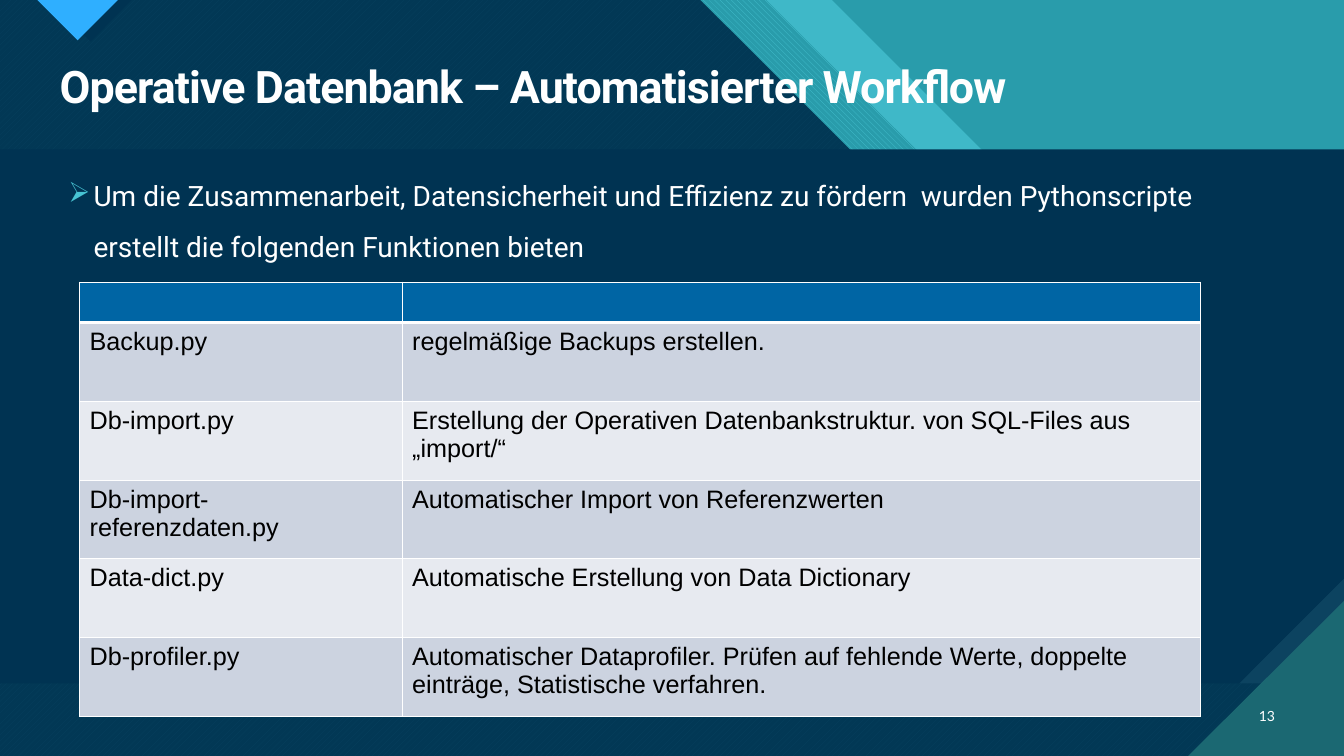
from dataclasses import dataclass

from lxml.etree import SubElement
from pptx import Presentation
from pptx.dml.color import RGBColor
from pptx.enum.dml import MSO_PATTERN
from pptx.enum.text import MSO_ANCHOR, PP_ALIGN
from pptx.oxml import parse_xml
from pptx.oxml.ns import nsdecls, qn
from pptx.slide import Slide
from pptx.text.text import _Paragraph as Para
from pptx.util import Emu, Inches, Pt

WIDE, HIGH = Inches(13.333), Inches(7.5)

WHITE = RGBColor(0xFF, 0xFF, 0xFF)
BLACK = RGBColor(0x00, 0x00, 0x00)
NAVY = RGBColor(0x00, 0x33, 0x52)
SLATE = RGBColor(0x0C, 0x43, 0x60)
PINE = RGBColor(0x1B, 0x68, 0x72)
TEAL = RGBColor(0x29, 0x9C, 0xAB)
AQUA = RGBColor(0x47, 0xC3, 0xD3)
SKY = RGBColor(0x2F, 0xAF, 0xFF)
BLUE = RGBColor(0x00, 0x65, 0xA4)
BANDS = (RGBColor(0xCC, 0xD3, 0xE0), RGBColor(0xE7, 0xEA, 0xF0))


@dataclass
class Area:
    points: list[tuple[float, float]]
    color: RGBColor
    alpha: int = 100
    pattern: MSO_PATTERN | None = None
    back: RGBColor | None = None


@dataclass
class Label:
    text: str
    box: tuple[float, float, float, float]
    font: str
    size: int
    bold: bool = False
    align: PP_ALIGN = PP_ALIGN.LEFT
    anchor: MSO_ANCHOR = MSO_ANCHOR.TOP
    spacing: float = 1.0


DARK = [(0, 0), (52.1, 0), (74.4, 39.6), (83.85, 39.6), (100, 68.3), (100, 100), (0, 100)]
STRIPE = [(0, 0), (57, 0), (79.35, 39.6), (88.8, 39.6), (100, 59.6), (100, 100), (0, 100)]
LIGHT = [(0, 0), (61.9, 0), (84.15, 39.6), (92.55, 39.6), (100, 52.8), (100, 100), (0, 100)]

AREAS = [
    Area(LIGHT, AQUA, alpha=74),
    Area(STRIPE, AQUA, pattern=MSO_PATTERN.WIDE_DOWNWARD_DIAGONAL, back=TEAL),
    Area(DARK, AQUA, pattern=MSO_PATTERN.WIDE_UPWARD_DIAGONAL, back=PINE),
    Area(DARK, NAVY, alpha=90),
    Area([(3.6, 0), (9.8, 0), (6.75, 5.5)], NAVY),
    Area([(2.78, 0), (8.78, 0), (5.78, 5.33)], SKY),
    Area([(92.2, 90.4), (100, 76.5), (100, 90.4)], SLATE),
    Area([(0, 19.75), (100, 19.75), (100, 76.5), (92.2, 90.4), (0, 90.4)], NAVY),
    Area([(88.4, 100), (100, 100), (100, 79.5)], PINE),
]

TITLE = Label(
    "Operative Datenbank – Automatisierter Workflow",
    (3.7, 7.87, 92, 7.87), "Roboto", 32, bold=True, spacing=0.9,
)
INTRO = Label(
    "Um die Zusammenarbeit, Datensicherheit und Effizienz zu fördern  wurden "
    "Pythonscripte erstellt die folgenden Funktionen bieten",
    (4.35, 20.8, 91.3, 76.6), "Roboto", 20, spacing=1.5,
)
NUMBER = Label(
    "13", (92.3, 92.1, 3.3, 5.3), "Lato", 10,
    align=PP_ALIGN.RIGHT, anchor=MSO_ANCHOR.MIDDLE,
)

ROWS = [
    ("", ""),
    ("Backup.py", "regelmäßige Backups erstellen."),
    ("Db-import.py", "Erstellung der Operativen Datenbankstruktur. von SQL-Files aus „import/“"),
    ("Db-import-referenzdaten.py", "Automatischer Import von Referenzwerten"),
    ("Data-dict.py", "Automatische Erstellung von Data Dictionary"),
    ("Db-profiler.py", "Automatischer Dataprofiler. Prüfen auf fehlende Werte, "
     "doppelte einträge, Statistische verfahren."),
]
SPOT = (5.92, 37.33)
COLS = (24, 59.4)
HEAD, BODY = 5.1, 10.42


def across(share: float) -> Emu:
    return Emu(round(WIDE * share / 100))


def down(share: float) -> Emu:
    return Emu(round(HIGH * share / 100))


def draw(slide: Slide, area: Area) -> None:
    first, *rest = [(across(x), down(y)) for x, y in area.points]
    pen = slide.shapes.build_freeform(*first)
    pen.add_line_segments(rest)
    shape = pen.convert_to_shape()
    shape.shadow.inherit = False
    shape.line.fill.background()
    fill = shape.fill
    if area.pattern is None:
        fill.solid()
    else:
        fill.patterned()
        fill.pattern = area.pattern
        fill.back_color.rgb = area.back
    fill.fore_color.rgb = area.color
    if area.alpha < 100:
        tint = shape._element.spPr.find(".//" + qn("a:srgbClr"))
        SubElement(tint, qn("a:alpha"), val=str(area.alpha * 1000))


def style(para: Para, name: str, size: int, color: RGBColor, bold: bool = False) -> None:
    font = para.font
    font.name, font.size, font.bold = name, Pt(size), bold
    font.color.rgb = color


def write(slide: Slide, label: Label) -> Para:
    x, y, w, h = label.box
    frame = slide.shapes.add_textbox(across(x), down(y), across(w), down(h)).text_frame
    frame.word_wrap = True
    frame.vertical_anchor = label.anchor
    para = frame.paragraphs[0]
    para.text = label.text
    para.alignment = label.align
    para.line_spacing = label.spacing
    style(para, label.font, label.size, WHITE, label.bold)
    return para


def bullet(para: Para) -> None:
    para.space_before = Pt(10)
    props = para._p.get_or_add_pPr()
    props.set("marL", str(Inches(0.25)))
    props.set("indent", str(-Inches(0.25)))
    last = props.find(qn("a:defRPr"))
    for mark in (
        f'<a:buClr {nsdecls("a")}><a:srgbClr val="{AQUA}"/></a:buClr>',
        f'<a:buChar {nsdecls("a")} char="➢"/>',
    ):
        last.addprevious(parse_xml(mark))


def grid(slide: Slide) -> None:
    high = HEAD + BODY * (len(ROWS) - 1)
    table = slide.shapes.add_table(
        len(ROWS), len(COLS), across(SPOT[0]), down(SPOT[1]), across(sum(COLS)), down(high)
    ).table
    for col, share in zip(table.columns, COLS):
        col.width = across(share)
    for i, texts in enumerate(ROWS):
        table.rows[i].height = down(BODY if i else HEAD)
        widths = {"L": 1, "R": 1, "T": 3 if i == 1 else 1, "B": 1 if i else 3}
        for j, text in enumerate(texts):
            cell = table.cell(i, j)
            cell.text = text
            style(cell.text_frame.paragraphs[0], "Arial", 18, BLACK)
            cell.fill.solid()
            cell.fill.fore_color.rgb = BANDS[(i - 1) % 2] if i else BLUE
            props = cell._tc.get_or_add_tcPr()
            for k, (side, size) in enumerate(widths.items()):
                props.insert(k, parse_xml(
                    f'<a:ln{side} {nsdecls("a")} w="{Pt(size)}"><a:solidFill>'
                    f'<a:srgbClr val="{WHITE}"/></a:solidFill></a:ln{side}>'
                ))


def main() -> None:
    deck = Presentation()
    deck.slide_width, deck.slide_height = WIDE, HIGH
    slide = deck.slides.add_slide(deck.slide_layouts[6])
    slide.background.fill.solid()
    slide.background.fill.fore_color.rgb = TEAL
    for area in AREAS:
        draw(slide, area)
    title = write(slide, TITLE)
    title.runs[0]._r.get_or_add_rPr().set("spc", "-70")
    write(slide, NUMBER)
    bullet(write(slide, INTRO))
    grid(slide)
    deck.save("out.pptx")


if __name__ == "__main__":
    main()
